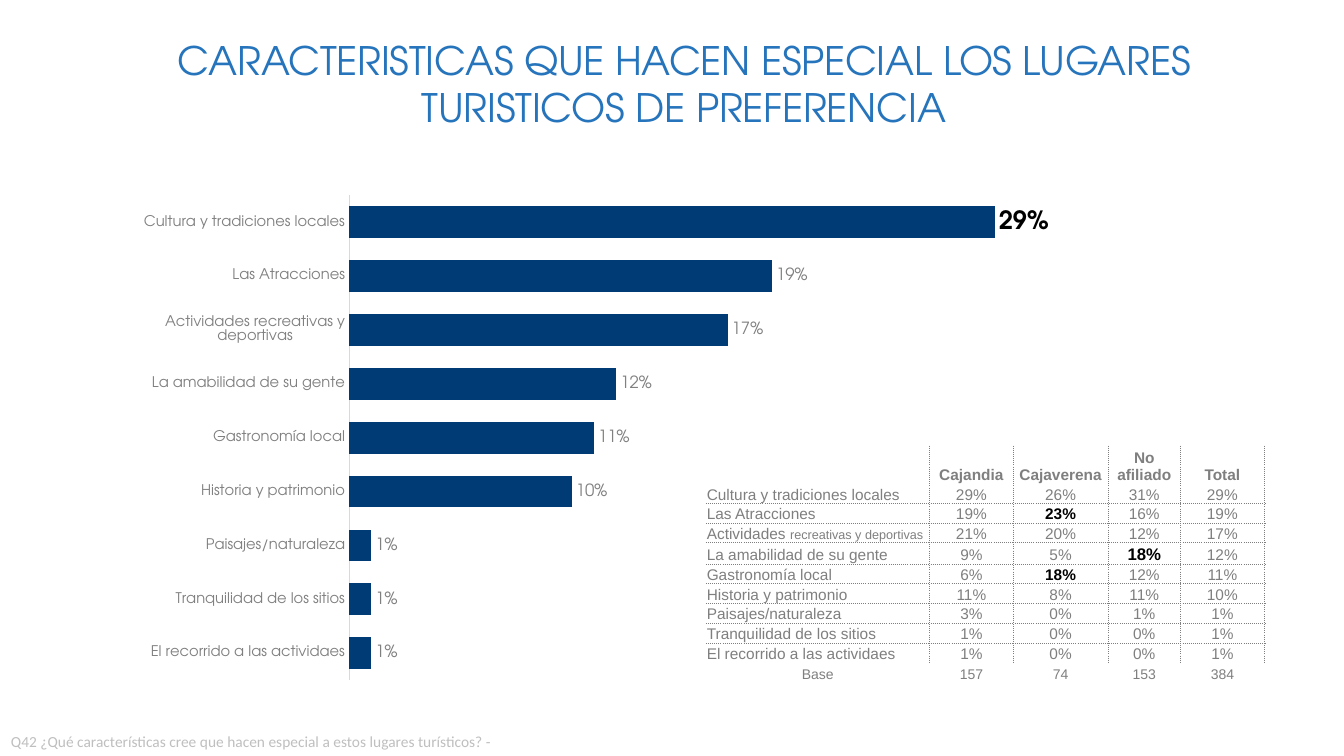
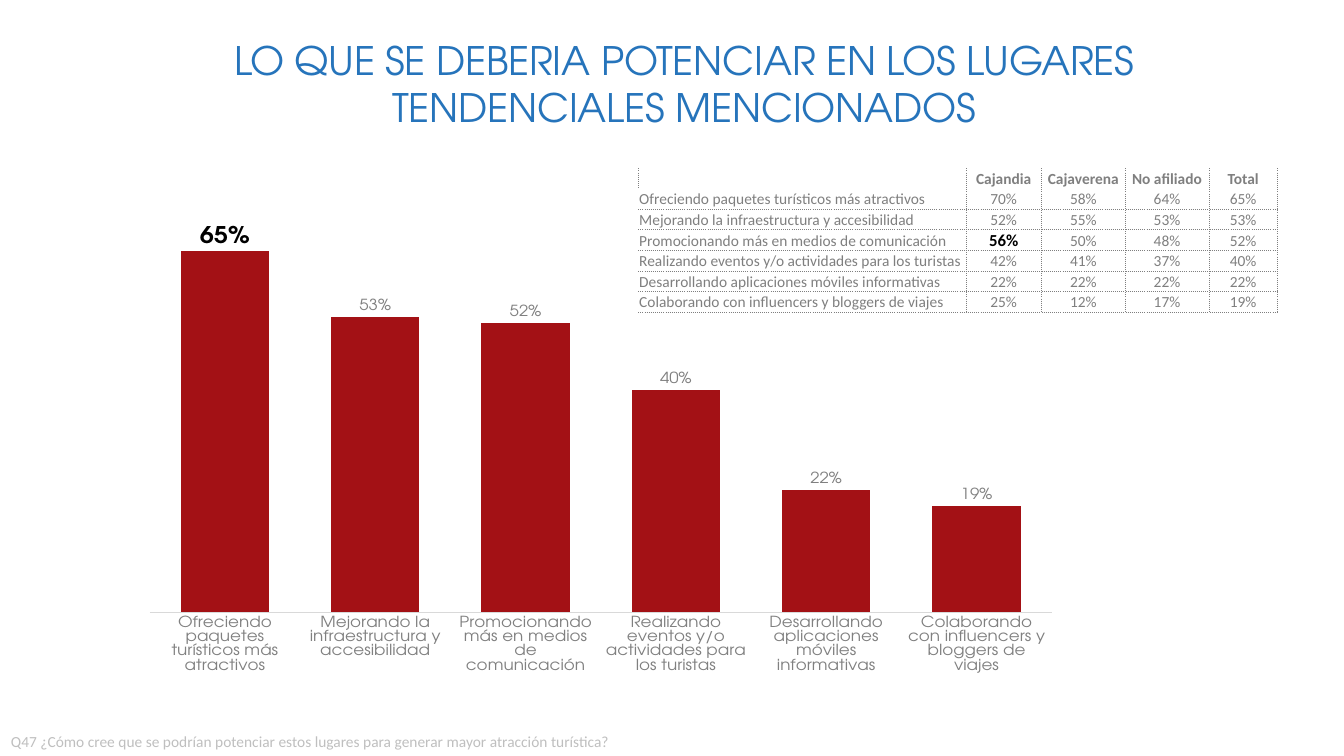
from lxml import etree
from pptx import Presentation
from pptx.chart.data import CategoryChartData
from pptx.dml.color import RGBColor
from pptx.enum.chart import XL_CHART_TYPE, XL_LABEL_POSITION, XL_TICK_LABEL_POSITION, XL_TICK_MARK
from pptx.enum.text import MSO_ANCHOR, PP_ALIGN
from pptx.oxml import parse_xml
from pptx.oxml.ns import nsdecls, qn
from pptx.util import Inches, Pt

BAR, COLUMN = XL_CHART_TYPE.BAR_CLUSTERED, XL_CHART_TYPE.COLUMN_CLUSTERED
OUTSIDE_END = XL_LABEL_POSITION.OUTSIDE_END
NO_LABELS, NO_TICKS = XL_TICK_LABEL_POSITION.NONE, XL_TICK_MARK.NONE
TOP, BOTTOM = MSO_ANCHOR.TOP, MSO_ANCHOR.BOTTOM
LEFT, CENTER = PP_ALIGN.LEFT, PP_ALIGN.CENTER
TITLE_ONLY = 5

FUNDS = ["Cajandia", "Cajaverena", "No afiliado", "Total"]


def color(hex_code):
    return RGBColor.from_string(hex_code)


def apply_format(target, formats):
    for name, value in formats.items():
        setattr(target, name, value)


def set_font(font, size, hex_code, name, bold=False):
    apply_format(font, {"size": Pt(size), "name": name, "bold": bold})
    font.color.rgb = color(hex_code)


class Deck:
    """Shared style plus the slide being built."""

    DISPLAY, BODY = "TeX Gyre Adventor", "Calibri"
    TITLE_BLUE, TEXT, LABEL = "2674BB", "7F7F7F", "808080"
    QUESTION, AXIS, STRONG = "BFBFBF", "D9D9D9", "000000"

    def __init__(self):
        self.prs = Presentation()
        apply_format(self.prs, {"slide_width": Inches(13.33), "slide_height": Inches(7.5)})
        self.slide = None

    def new_slide(self, title, question):
        self.slide = self.prs.slides.add_slide(self.prs.slide_layouts[TITLE_ONLY])
        self.title(title)
        self.question(question)

    def title(self, text):
        heading = self.slide.shapes.title
        apply_format(heading, {"left": Inches(1.73), "top": Inches(0.35),
                               "width": Inches(10.11), "height": Inches(0.96)})
        frame = heading.text_frame
        apply_format(frame, {"margin_left": 0, "margin_right": 0, "margin_bottom": 0,
                             "margin_top": Inches(0.01), "vertical_anchor": TOP,
                             "word_wrap": True})
        paragraph = frame.paragraphs[0]
        apply_format(paragraph, {"alignment": CENTER, "space_before": Pt(0)})
        run = paragraph.add_run()
        run.text = text
        set_font(run.font, 28, self.TITLE_BLUE, self.DISPLAY)
        run.font._element.set("spc", "-10")

    def question(self, text):
        box = self.slide.shapes.add_textbox(Inches(0.01), Inches(7.21),
                                            Inches(8.41), Inches(0.29))
        box.text_frame.word_wrap = True
        run = box.text_frame.paragraphs[0].add_run()
        run.text = text
        set_font(run.font, 11, self.QUESTION, self.BODY)

    # Charts
    def chart(self, kind, place, shares, fill, plot, maximum, label_size):
        data = CategoryChartData(number_format="0%")
        data.categories = list(shares)
        data.add_series("Series 1", list(shares.values()))
        chart = self.slide.shapes.add_chart(kind, *map(Inches, place), data).chart
        apply_format(chart, {"has_legend": False, "has_title": False})
        set_font(chart.font, 10, self.STRONG, self.BODY)

        categories = chart.category_axis
        apply_format(categories, {"major_tick_mark": NO_TICKS, "minor_tick_mark": NO_TICKS,
                                  "has_major_gridlines": False,
                                  "reverse_order": kind == BAR})
        set_font(categories.tick_labels.font, label_size, self.LABEL, self.DISPLAY)
        categories.format.line.color.rgb = color(self.AXIS)
        categories.format.line.width = Pt(0.75)

        values = chart.value_axis
        apply_format(values, {"major_tick_mark": NO_TICKS, "minor_tick_mark": NO_TICKS,
                              "has_major_gridlines": False, "minimum_scale": 0,
                              "maximum_scale": maximum, "tick_label_position": NO_LABELS})
        values.format.line.fill.background()

        bars = chart.plots[0]
        apply_format(bars, {"gap_width": 70, "vary_by_categories": False,
                            "has_data_labels": True})
        series = bars.series[0]
        series.format.fill.solid()
        series.format.fill.fore_color.rgb = color(fill)
        labels = series.data_labels
        apply_format(labels, {"show_value": True, "number_format": "0%",
                              "number_format_is_linked": False, "position": OUTSIDE_END})
        set_font(labels.font, 12, self.LABEL, self.DISPLAY)
        leader = series.points[0].data_label
        set_font(leader.font, 18, self.STRONG, self.DISPLAY, True)
        leader.position = OUTSIDE_END
        self.place_plot(chart, plot)

    @staticmethod
    def place_plot(chart, plot):
        area = chart._chartSpace.chart.plotArea
        for old in area.findall(qn("c:layout")):
            area.remove(old)
        modes = '<c:layoutTarget val="inner"/><c:xMode val="edge"/><c:yMode val="edge"/>'
        sizes = "".join(f'<c:{tag} val="{value}"/>' for tag, value in zip("xywh", plot))
        area.insert(0, parse_xml(f'<c:layout {nsdecls("c")}><c:manualLayout>{modes}{sizes}'
                                 "</c:manualLayout></c:layout>"))

    # Tables
    def table(self, place, widths, header_height, rows, font, strong,
              base=None, left_rule=False):
        lines = [[""] + FUNDS] + [[name] + shares.split() for name, shares in rows]
        last_ruled = len(lines) - 1
        if base:
            lines.append(["Base"] + base.split())
        table = self.slide.shapes.add_table(len(lines), len(widths),
                                            *map(Inches, place)).table
        apply_format(table, {"first_row": False, "horz_banding": False})
        for column, width in zip(table.columns, widths):
            column.width = Inches(width)
        row_height = (place[3] - header_height) / (len(lines) - 1)
        for r, line in enumerate(lines):
            table.rows[r].height = Inches(row_height if r else header_height)
            is_base = r > last_ruled
            for c, text in enumerate(line):
                cell = table.cell(r, c)
                size = strong.get((r, c), 10 if is_base else 11)
                hex_code = self.STRONG if (r, c) in strong else self.TEXT
                bold = r == 0 or (r, c) in strong
                align = LEFT if c == 0 and not is_base else CENTER
                self.cell_text(cell, text, align, (size, hex_code, font, bold))
                self.cell_borders(cell, {
                    "lnL": not is_base and (c > 0 or (left_rule and r == 0)),
                    "lnR": not is_base,
                    "lnT": 1 < r <= last_ruled,
                    "lnB": 0 < r < last_ruled or (r == last_ruled and not base)})

    @staticmethod
    def cell_text(cell, text, align, style):
        apply_format(cell, {"margin_left": Inches(0.01), "margin_right": Inches(0.01),
                            "margin_top": Inches(0.01), "margin_bottom": 0,
                            "vertical_anchor": BOTTOM})
        paragraph = cell.text_frame.paragraphs[0]
        paragraph.alignment = align
        if not text:
            end = etree.SubElement(paragraph._p, qn("a:endParaRPr"))
            end.set("sz", str(style[0] * 100))
            return
        # Text after a bar is set smaller
        for part, size in zip(text.split("|"), (style[0], 9)):
            run = paragraph.add_run()
            run.text = part
            set_font(run.font, size, *style[1:])

    def cell_borders(self, cell, edges):
        cell.fill.background()
        properties = cell._tc.get_or_add_tcPr()
        for position, (edge, ruled) in enumerate(edges.items()):
            line = etree.Element(qn(f"a:{edge}"), w=str(Pt(0.5)))
            if ruled:
                fill = etree.SubElement(line, qn("a:solidFill"))
                etree.SubElement(fill, qn("a:srgbClr"), val=self.TEXT)
                etree.SubElement(line, qn("a:prstDash"), val="dot")
            else:
                etree.SubElement(line, qn("a:noFill"))
            properties.insert(position, line)


def features_slide(deck):
    deck.new_slide(
        "CARACTERISTICAS QUE HACEN ESPECIAL LOS LUGARES TURISTICOS DE PREFERENCIA",
        "Q42 ¿Qué características cree que hacen especial a estos lugares turísticos? -")
    rows = [
        ("Cultura y tradiciones locales", "29% 26% 31% 29%"),
        ("Las Atracciones", "19% 23% 16% 19%"),
        ("Actividades |recreativas y deportivas", "21% 20% 12% 17%"),
        ("La amabilidad de su gente", "9% 5% 18% 12%"),
        ("Gastronomía local", "6% 18% 12% 11%"),
        ("Historia y patrimonio", "11% 8% 11% 10%"),
        ("Paisajes/naturaleza", "3% 0% 1% 1%"),
        ("Tranquilidad de los sitios", "1% 0% 0% 1%"),
        ("El recorrido a las actividaes", "1% 0% 0% 1%"),
    ]
    deck.table((7, 4.42, 5.54, 2.33), (2.22, 0.83, 0.94, 0.72, 0.83), 0.37, rows,
               "Arial", {(2, 2): 11, (4, 3): 12, (5, 2): 11}, base="157 74 153 384")
    deck.chart(BAR, (1, 1.75, 10.53, 5.25), total_shares(rows), "003B75",
               (0.234, 0.036, 0.734, 0.916), 0.35, 10.5)


def improvements_slide(deck):
    deck.new_slide(
        "LO QUE SE DEBERIA POTENCIAR EN LOS LUGARES TENDENCIALES MENCIONADOS",
        "Q47 ¿Cómo cree que se podrían potenciar estos lugares para generar mayor "
        "atracción turística?")
    rows = [
        ("Ofreciendo paquetes turísticos más atractivos", "70% 58% 64% 65%"),
        ("Mejorando la infraestructura y accesibilidad", "52% 55% 53% 53%"),
        ("Promocionando más en medios de comunicación", "56% 50% 48% 52%"),
        ("Realizando eventos y/o actividades para los turistas", "42% 41% 37% 40%"),
        ("Desarrollando aplicaciones móviles informativas", "22% 22% 22% 22%"),
        ("Colaborando con influencers y bloggers de viajes", "25% 12% 17% 19%"),
    ]
    deck.chart(COLUMN, (1.1, 2.06, 9.64, 4.62), total_shares(rows), "A31115",
               (0.04, 0.036, 0.928, 0.916), 0.7, 12)
    deck.table((6.33, 1.67, 6.34, 1.42), (3.25, 0.75, 0.83, 0.83, 0.68), 0.2, rows,
               "Calibri", {(3, 1): 12}, left_rule=True)


def total_shares(rows):
    """The charts show the Total column of the tables."""
    return {name.replace("|", ""): int(shares.split()[-1].rstrip("%")) / 100
            for name, shares in rows}


def main():
    deck = Deck()
    features_slide(deck)
    improvements_slide(deck)
    deck.prs.save("out.pptx")


if __name__ == "__main__":
    main()
